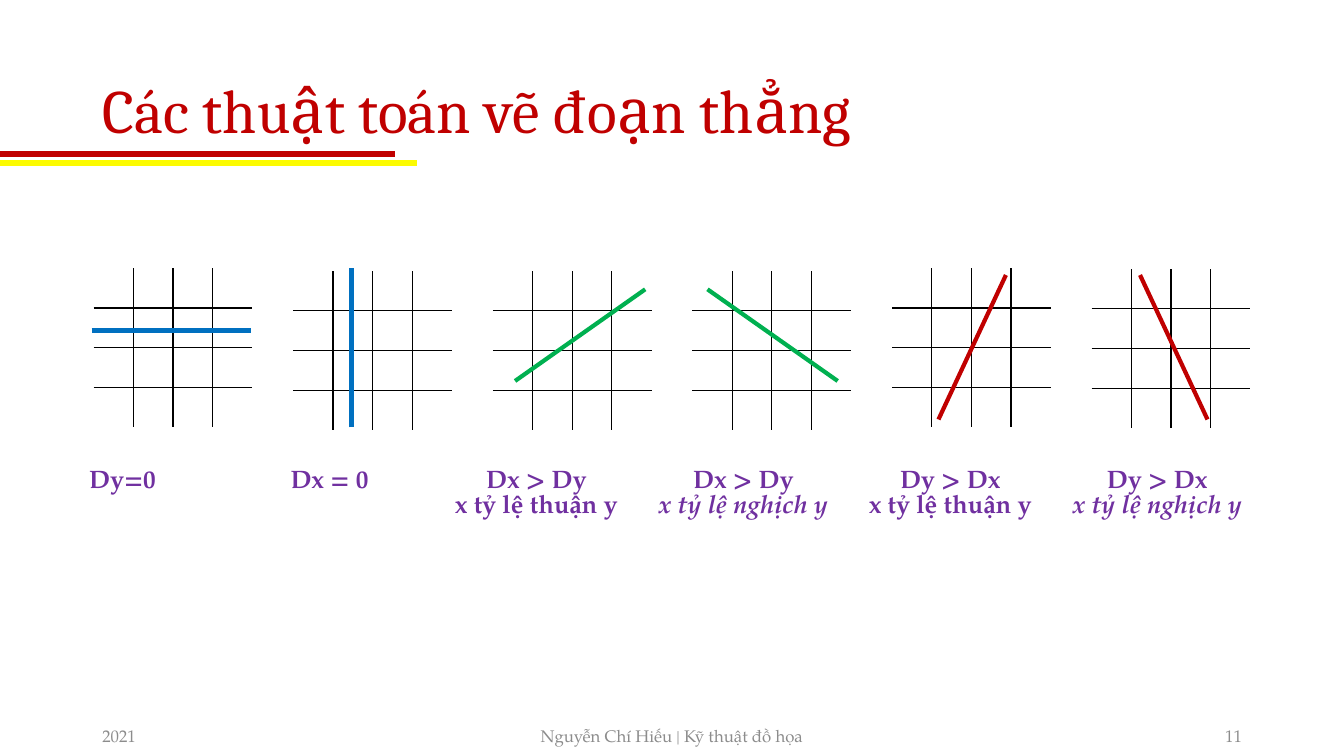
from dataclasses import dataclass

from lxml import etree
from pptx import Presentation
from pptx.dml.color import RGBColor
from pptx.enum.shapes import MSO_CONNECTOR
from pptx.enum.text import MSO_ANCHOR, MSO_AUTO_SIZE, PP_ALIGN
from pptx.oxml.ns import qn
from pptx.util import Cm, Pt

STRAIGHT = MSO_CONNECTOR.STRAIGHT
MIDDLE = MSO_ANCHOR.MIDDLE
NO_AUTOFIT = MSO_AUTO_SIZE.NONE
LEFT, CENTER, RIGHT = PP_ALIGN.LEFT, PP_ALIGN.CENTER, PP_ALIGN.RIGHT
TITLE_ONLY = 5


@dataclass(frozen=True)
class Theme:
    heading_font: str = "Cambria"
    body_font: str = "TeX Gyre Pagella"
    red: str = "C00000"
    yellow: str = "FCFB01"
    blue: str = "0070C0"
    green: str = "00B050"
    purple: str = "7030A0"
    grey: str = "8C8C8C"
    black: str = "000000"
    title_size: float = 44
    label_size: float = 18
    footer_size: float = 12
    bar_width: float = 4.25
    segment_width: float = 3
    grid_width: float = 1


THEME = Theme()

GRID_LEFT, GRID_STEP, GRID_COUNT, CELL_SIZE = 2.36, 5.03, 4, 1
GRID_TOPS = (6.76, 6.83, 6.83, 6.83, 6.76, 6.78)

SEGMENTS = (
    ((2.31, 8.33), (6.32, 8.33), THEME.blue),
    ((8.86, 10.77), (8.86, 6.76), THEME.blue),
    ((12.98, 9.6), (16.26, 7.29), THEME.green),
    ((21.11, 9.6), (17.83, 7.29), THEME.green),
    ((23.65, 10.57), (25.35, 6.93), THEME.red),
    ((28.73, 6.93), (30.43, 10.57), THEME.red),
)

BARS = (
    ((0, 4.11), (10.52, 4.11), THEME.yellow),
    ((0, 3.89), (9.96, 3.89), THEME.red),
)

LABELS = (
    ("Dy=0", "", False),
    ("Dx = 0", "", False),
    ("Dx > Dy", "x tỷ lệ thuận y", False),
    ("Dx > Dy", "x tỷ lệ nghịch y", True),
    ("Dy > Dx", "x tỷ lệ thuận y", False),
    ("Dy > Dx", "x tỷ lệ nghịch y", True),
)

FOOTERS = (
    ("2021", 2.33, 7.62, LEFT),
    ("Nguyễn Chí Hiếu | Kỹ thuật đồ họa", 11.22, 11.43, CENTER),
    ("11", 23.93, 7.62, RIGHT),
)


def set_attributes(target, values):
    for name, value in values.items():
        setattr(target, name, value)


def add_span(para, text, font, size, color, **formats):
    span = para.add_run()
    span.text = text
    set_attributes(span.font, {"name": font, "size": Pt(size), **formats})
    span.font.color.rgb = RGBColor.from_string(color)


def add_segment(page, start, end, color, width):
    points = [Cm(value) for value in (*start, *end)]
    segment = page.shapes.add_connector(STRAIGHT, *points)
    segment.line.color.rgb = RGBColor.from_string(color)
    segment.line.width = Pt(width)
    etree.SubElement(segment.element.spPr, qn("a:effectLst"))


def set_borders(cell, visible):
    properties = cell._tc.get_or_add_tcPr()
    for side in "LRTB":
        border = etree.SubElement(properties, qn(f"a:ln{side}"))
        if side in visible:
            border.set("w", str(Pt(THEME.grid_width)))
            fill = etree.SubElement(border, qn("a:solidFill"))
            etree.SubElement(fill, qn("a:srgbClr"), val=THEME.black)
        else:
            etree.SubElement(border, qn("a:noFill"))
    cell.fill.background()


def add_plain_table(page, rows, columns, left, top, width, height):
    frame = page.shapes.add_table(
        rows, columns, Cm(left), Cm(top), Cm(width), Cm(height)
    )
    set_attributes(frame.table, {"first_row": False, "horz_banding": False})
    return frame.table


def inner_sides(row, column):
    last = GRID_COUNT - 1
    inside = {"L": column > 0, "R": column < last, "T": row > 0, "B": row < last}
    return [side for side, shown in inside.items() if shown]


def add_grid(page, left, top):
    size = GRID_COUNT * CELL_SIZE
    table = add_plain_table(page, GRID_COUNT, GRID_COUNT, left, top, size, size)
    for index, cell in enumerate(table.iter_cells()):
        set_borders(cell, inner_sides(*divmod(index, GRID_COUNT)))
        set_attributes(cell, {"margin_top": 0, "margin_bottom": 0})


def add_labels(page):
    table = add_plain_table(page, 1, len(LABELS), 0.48, 11.73, 31.29, 1.78)
    style = (THEME.body_font, THEME.label_size, THEME.purple)
    for cell, (condition, relation, italic) in zip(table.iter_cells(), LABELS):
        set_borders(cell, "")
        para = cell.text_frame.paragraphs[0]
        para.alignment = CENTER
        add_span(para, condition, *style, bold=True)
        if relation:
            para.add_line_break()
            add_span(para, relation, *style, bold=True, italic=italic)


def add_title(page, text):
    title = page.shapes.title
    set_attributes(title, {
        "left": Cm(2.33), "top": Cm(1.02), "width": Cm(29.21), "height": Cm(3.68),
    })
    set_attributes(title.text_frame, {
        "vertical_anchor": MIDDLE, "auto_size": NO_AUTOFIT, "word_wrap": True,
    })
    para = title.text_frame.paragraphs[0]
    set_attributes(para, {"alignment": LEFT, "line_spacing": 0.9})
    add_span(para, text, THEME.heading_font, THEME.title_size, THEME.red)


def add_footer(page, text, left, width, alignment):
    box = page.shapes.add_textbox(Cm(left), Cm(18.03), Cm(width), Cm(1.02))
    set_attributes(box.text_frame, {"vertical_anchor": MIDDLE, "word_wrap": True})
    para = box.text_frame.paragraphs[0]
    para.alignment = alignment
    add_span(para, text, THEME.body_font, THEME.footer_size, THEME.grey)


def main():
    deck = Presentation()
    set_attributes(deck, {"slide_width": Cm(33.87), "slide_height": Cm(19.05)})
    page = deck.slides.add_slide(deck.slide_layouts[TITLE_ONLY])
    for bar in BARS:
        add_segment(page, *bar, THEME.bar_width)
    add_title(page, "Các thuật toán vẽ đoạn thẳng")
    add_labels(page)
    for footer in FOOTERS:
        add_footer(page, *footer)
    for index, top in enumerate(GRID_TOPS):
        add_grid(page, GRID_LEFT + index * GRID_STEP, top)
    for segment in SEGMENTS:
        add_segment(page, *segment, THEME.segment_width)
    deck.save("out.pptx")


if __name__ == "__main__":
    main()
